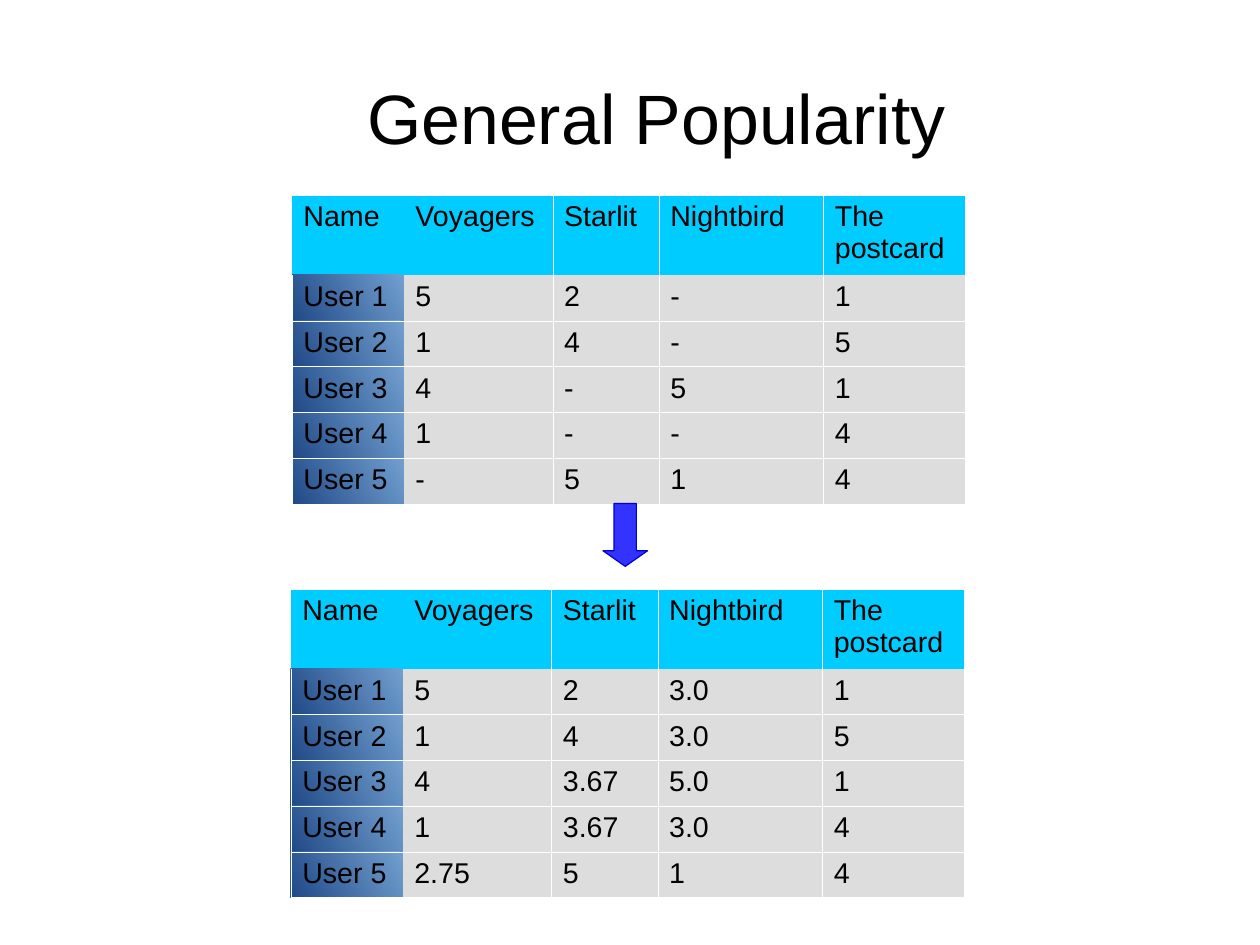
from lxml import etree
from pptx import Presentation
from pptx import util as u
from pptx.dml.color import RGBColor
from pptx.enum import shapes, text
from pptx.oxml.ns import qn

# Slide of 28 by 21 cm, laid out on a grid of tenths of an inch
SLIDE_SIZE = {"slide_width": u.Cm(28), "slide_height": u.Cm(21)}
FONT = "Arial"
COLORS = {
    "ink": "000000",
    "header": "00CCFF",
    "rating": "DDDDDD",
    "user_light": "729FCF",
    "user_dark": "204A87",
    "rule": "FFFFFF",
    "arrow": "3333FF",
    "arrow_edge": "0000CC",
}
FILMS = ["Name", "Voyagers", "Starlit", "Nightbird", "The postcard"]
FILM_WIDTHS = [9.8, 13, 9.3, 14.4, 12.4]
HEADER_HEIGHT, USER_HEIGHT = 7, 4
RULE_WIDTH = u.Pt(0.06)

KNOWN_RATINGS = ["5 2 - 1", "1 4 - 5", "4 - 5 1", "1 - - 4", "- 5 1 4"]
FILLED_RATINGS = ["5 2 3.0 1", "1 4 3.0 5", "4 3.67 5.0 1",
                  "1 3.67 3.0 4", "2.75 5 1 4"]


def grid(cells):
    return u.Inches(cells / 10)


def color(name):
    return RGBColor.from_string(COLORS[name])


def set_all(target, values):
    for name, value in values.items():
        setattr(target, name, value)


def write(frame, words, size, align):
    paragraph = frame.paragraphs[0]
    paragraph.alignment = align
    run = paragraph.add_run()
    run.text = words
    set_all(run.font, {"name": FONT, "size": u.Pt(size), "bold": False})
    run.font.color.rgb = color("ink")


def add_heading(slide, words, left, top, width, height, indent):
    heading = slide.shapes.add_textbox(*map(grid, (left, top, width, height)))
    set_all(heading.text_frame, {
        "word_wrap": True, "vertical_anchor": text.MSO_ANCHOR.MIDDLE,
        "margin_left": grid(indent), "margin_right": 0,
        "margin_top": 0, "margin_bottom": 0,
    })
    write(heading.text_frame, words, 44, text.PP_ALIGN.CENTER)


def rule_cell(cell, row, column):
    # No rule below the header or to the right of the user names
    ruled = {"a:lnL": column > 1 or (column == 0 and row > 0),
             "a:lnR": column > 0, "a:lnT": row != 1, "a:lnB": row > 0}
    properties = cell._tc.get_or_add_tcPr()
    for place, (side, shown) in enumerate(ruled.items()):
        line = etree.Element(qn(side), w=str(RULE_WIDTH))
        if shown:
            fill = etree.SubElement(line, qn("a:solidFill"))
            etree.SubElement(fill, qn("a:srgbClr"), val=COLORS["rule"])
        else:
            etree.SubElement(line, qn("a:noFill"))
        properties.insert(place, line)


def fill_cell(cell, row, column):
    if row > 0 and column == 0:
        cell.fill.gradient()
        cell.fill.gradient_angle = 210
        for stop, shade in zip(cell.fill.gradient_stops, ("user_light", "user_dark")):
            stop.color.rgb = color(shade)
    else:
        cell.fill.solid()
        cell.fill.fore_color.rgb = color("rating" if row else "header")


def add_ratings(slide, ratings, left, top):
    lines = [FILMS] + [[f"User {number}", *scores.split()]
                       for number, scores in enumerate(ratings, 1)]
    heights = [HEADER_HEIGHT] + [USER_HEIGHT] * len(ratings)
    table = slide.shapes.add_table(
        len(lines), len(FILMS), grid(left), grid(top),
        grid(sum(FILM_WIDTHS)), grid(sum(heights))).table
    set_all(table, {"first_row": False, "horz_banding": False})
    for column, width in zip(table.columns, FILM_WIDTHS):
        column.width = grid(width)
    for row, height in zip(table.rows, heights):
        row.height = grid(height)
    for row, line in enumerate(lines):
        for column, words in enumerate(line):
            cell = table.cell(row, column)
            set_all(cell, {"margin_left": grid(1), "margin_right": grid(1),
                           "margin_top": grid(0.5), "margin_bottom": grid(0.5)})
            write(cell.text_frame, words, 18, text.PP_ALIGN.LEFT)
            fill_cell(cell, row, column)
            rule_cell(cell, row, column)


def add_down_arrow(slide, left, top, width, height):
    arrow = slide.shapes.add_shape(shapes.MSO_SHAPE.DOWN_ARROW,
                                   *map(grid, (left, top, width, height)))
    arrow.adjustments[0] = 0.5
    arrow.adjustments[1] = 0.35
    arrow.shadow.inherit = False
    arrow.fill.solid()
    arrow.fill.fore_color.rgb = color("arrow")
    arrow.line.color.rgb = color("arrow_edge")
    arrow.line.width = 0


def main():
    deck = Presentation()
    set_all(deck, SLIDE_SIZE)
    slide = deck.slides.add_slide(deck.slide_layouts[6])

    # Heading
    add_heading(slide, "General Popularity", 5.5, 3.3, 99.2, 13.8, indent=4.7)

    # Known ratings, then the gaps filled with each film's average
    add_ratings(slide, KNOWN_RATINGS, 25.55, 17.05)
    add_ratings(slide, FILLED_RATINGS, 25.45, 51.5)
    add_down_arrow(slide, 52.75, 44.05, 3.9, 5.5)

    deck.save("out.pptx")


if __name__ == "__main__":
    main()
